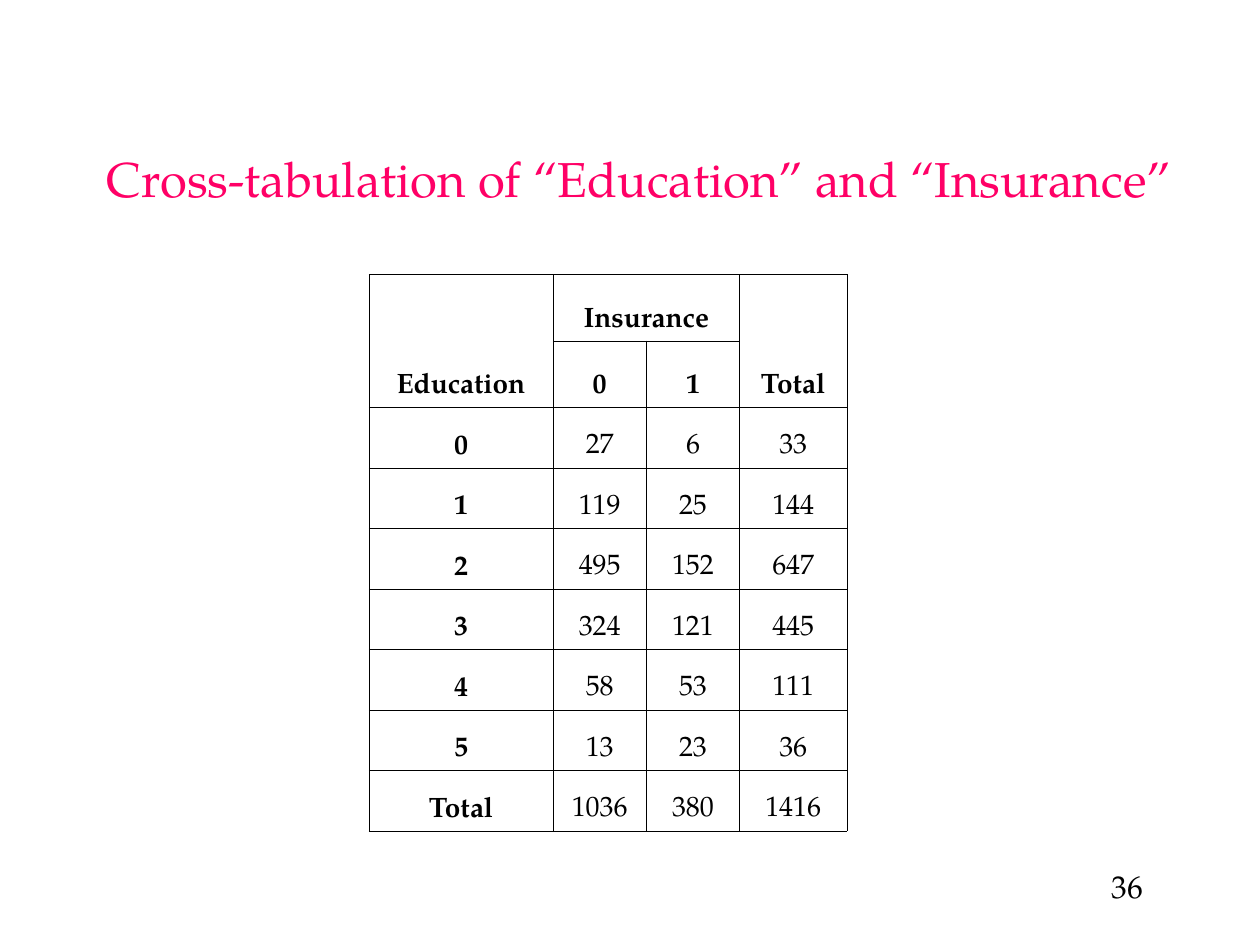
from lxml import etree
from pptx import Presentation
from pptx import util as u
from pptx.dml.color import RGBColor
from pptx.enum import text
from pptx.oxml import parse_xml
from pptx.oxml.ns import nsdecls, qn

FONT = "TeX Gyre Pagella"
BLACK, PINK = "000000", "FF0066"
COLUMN_WIDTHS = [3.71, 1.88, 1.88, 2.16]
HEADER_HEIGHT, BODY_HEIGHT = 1.34, 1.22
HEADER = [["Education", "Insurance", "", "Total"], ["", "0", "1", ""]]
COUNTS = [
    ["0", "27", "6", "33"],
    ["1", "119", "25", "144"],
    ["2", "495", "152", "647"],
    ["3", "324", "121", "445"],
    ["4", "58", "53", "111"],
    ["5", "13", "23", "36"],
    ["Total", "1036", "380", "1416"],
]


def color(hex_value):
    return RGBColor.from_string(hex_value)


def style(paragraph, size, hex_value, bold=False):
    font = paragraph.font
    font.name, font.size, font.bold = FONT, u.Pt(size), bold
    font.color.rgb = color(hex_value)


def add_borders(cell):
    properties = cell._tc.get_or_add_tcPr()
    for position, side in enumerate(("lnL", "lnR", "lnT", "lnB")):
        properties.insert(position, parse_xml(
            f'<a:{side} {nsdecls("a")} w="{u.Pt(0.23)}"><a:solidFill>'
            f'<a:srgbClr val="{BLACK}"/></a:solidFill></a:{side}>'))


def add_title(slide, left, top, width, height):
    title = slide.shapes.add_textbox(u.Cm(left), u.Cm(top), u.Cm(width), u.Cm(height))
    frame = title.text_frame
    frame.word_wrap = True
    frame.vertical_anchor = text.MSO_ANCHOR.BOTTOM
    frame.margin_right = u.Cm(0.5)
    heading = frame.paragraphs[0]
    heading.text = "Cross-tabulation of “Education” and “Insurance”"
    heading.alignment = text.PP_ALIGN.CENTER
    style(heading, 28, PINK)


def add_crosstab(slide, left, top):
    rows = HEADER + COUNTS
    heights = [HEADER_HEIGHT] * len(HEADER) + [BODY_HEIGHT] * len(COUNTS)
    crosstab = slide.shapes.add_table(
        len(rows), len(COLUMN_WIDTHS), u.Cm(left), u.Cm(top),
        u.Cm(sum(COLUMN_WIDTHS)), u.Cm(sum(heights))).table
    for column, width in zip(crosstab.columns, COLUMN_WIDTHS):
        column.width = u.Cm(width)
    for row, height in zip(crosstab.rows, heights):
        row.height = u.Cm(height)

    # Spanning headers
    for start, end in (((0, 0), (1, 0)), ((0, 1), (0, 2)), ((0, 3), (1, 3))):
        crosstab.cell(*start).merge(crosstab.cell(*end))

    # Header labels and counts
    for r, values in enumerate(rows):
        for c, value in enumerate(values):
            cell = crosstab.cell(r, c)
            cell.fill.background()
            add_borders(cell)
            cell.vertical_anchor = text.MSO_ANCHOR.BOTTOM
            label = cell.text_frame.paragraphs[0]
            label.text = value
            label.alignment = text.PP_ALIGN.CENTER
            style(label, 16, BLACK, bold=r < len(HEADER) or c == 0)


def add_page_number(slide, left, top, width, height):
    box = slide.shapes.add_textbox(u.Cm(left), u.Cm(top), u.Cm(width), u.Cm(height))
    frame = box.text_frame
    frame.word_wrap = False
    frame.margin_left = u.Cm(0.57)
    number = frame.paragraphs[0]
    number.text = "36"
    number.alignment = text.PP_ALIGN.LEFT
    style(number, 18, BLACK)
    # Text shadow
    effects = etree.SubElement(number.runs[0]._r.get_or_add_rPr(), qn("a:effectLst"))
    effects.append(parse_xml(
        f'<a:outerShdw {nsdecls("a")} dist="17961" dir="2700000">'
        f'<a:srgbClr val="{BLACK}"/></a:outerShdw>'))


def main():
    deck = Presentation()
    deck.slide_width, deck.slide_height = u.Cm(25.4), u.Cm(19.05)
    slide = deck.slides.add_slide(deck.slide_layouts[6])
    add_page_number(slide, 21.84, 17.35, 4.06, 1.17)
    add_crosstab(slide, 7.44, 5.53)
    add_title(slide, 0.3, 1.12, 25.4, 3.18)
    deck.save("out.pptx")


if __name__ == "__main__":
    main()
